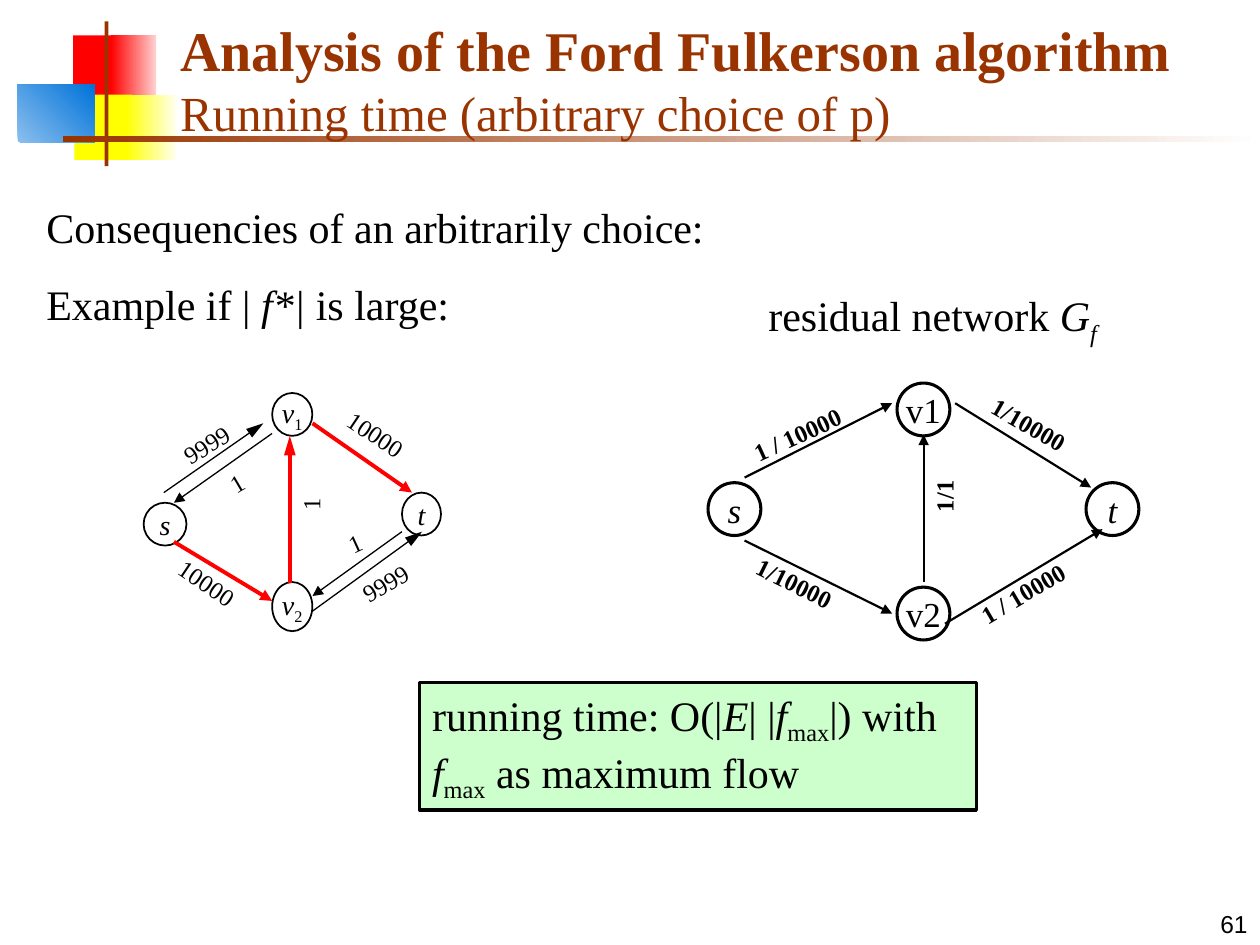
from lxml.etree import SubElement
from pptx import Presentation
from pptx.dml.color import RGBColor
from pptx.enum.shapes import MSO_CONNECTOR, MSO_SHAPE
from pptx.enum.text import MSO_ANCHOR, PP_ALIGN
from pptx.oxml.ns import qn
from pptx.util import Pt

COLORS = {
    "black": "000000", "white": "FFFFFF", "red": "FF0000", "pink": "FFD1D1",
    "yellow": "FFFF00", "cream": "FFFFF0", "sky": "8BBFEE", "blue": "0073D9",
    "brown": "993300", "mint": "CCFFCC",
}
SERIF = "Times New Roman"

DECORATION = [
    ((41.8, 20.2, 25.2, 37.4), ["red"], 0),
    ((63.4, 20.2, 25.9, 37.4), ["red", "pink"], 0),
    ((42.5, 54, 33.1, 37.4), ["yellow"], 0),
    ((72, 54, 28.8, 37.4), ["yellow", "cream"], 0),
    ((10.1, 48.2, 43.9, 33.1), ["sky", "blue"], 45),
    ((59.8, 12.2, 2.2, 82.8), ["brown"], 0),
    ((36, 77.8, 684, 3.6), ["brown", "white"], 0),
]

TITLE = "Analysis of the Ford Fulkerson algorithm"
SUBTITLE = "Running time (arbitrary choice of p)"
PAGE_NUMBER = "61"
INTRO = [
    [("Consequencies of an arbitrarily choice:", "")],
    [("Example if | ", ""), ("f*|", "i"), (" is large:", "")],
]
RESIDUAL_HEADING = [[("residual network ", ""), ("G", "i"), ("f", "i sub")]]
RUNNING_TIME = [[
    ("running time: O(|", ""), ("E", "i"), ("| |", ""), ("f", "i"), ("max", "sub"),
    ("|) with ", ""), ("f", "i"), ("max", "sub"), (" as maximum flow", ""),
]]

FLOW_GRAPH = {
    "node_size": 16, "node_line": 1, "bold": False,
    "nodes": [
        ((229.7, 281.5, 22.3, 24.5), [("t", "i")]),
        ((155.5, 332.6, 23, 28.1), [("v", "i"), ("2", "sub")]),
        ((155.5, 224.6, 23, 24.5), [("v", "i"), ("1", "sub")]),
        ((82.1, 287.3, 24.5, 24.5), [("s", "i")]),
    ],
    "edges": [
        ((178.6, 241.9, 235.4, 281.5), "red", 2.25, "med"),
        ((99.4, 309.6, 155.5, 343.4), "red", 2.25, "med"),
        ((93.6, 281.5, 150.5, 241.9), "black", 0.75, "lg"),
        ((178.6, 349.2, 241.2, 303.8), "black", 0.75, "lg"),
        ((165.6, 333.4, 165.6, 249.1), "red", 2.25, "lg"),
        ((229.7, 303.8, 178.6, 340.6), "black", 0.75, "med"),
        ((155.5, 247.7, 99.4, 287.3), "black", 0.75, "med"),
    ],
    "labels": [
        ("9999", 82.1, 241.9, 72, 328),
        ("10000", 178.6, 236.2, 72, 34),
        ("9999", 184.3, 321.1, 72, 329.5),
        ("1", 162.7, 275.8, 30.2, 270),
        ("1", 99.4, 264.2, 72, 329.5),
        ("1", 167, 298.1, 72, 335.4),
        ("10000", 82.1, 321.1, 72, 34),
    ],
}

RESIDUAL_GRAPH = {
    "node_size": 20, "node_line": 1.75, "bold": True,
    "nodes": [
        ((620.6, 275.8, 30.2, 30.2), [("t", "i")]),
        ((512.6, 335.5, 30.2, 30.2), [("v2", "")]),
        ((512.6, 218.9, 30.2, 30.2), [("v1", "")]),
        ((404.6, 275.8, 30.2, 30.2), [("s", "i")]),
    ],
    "edges": [
        ((545.8, 230.4, 623.5, 278.6), "black", 1.25, "med"),
        ((425.5, 308.9, 509.8, 350.6), "black", 1.25, "med"),
        ((425.5, 272.9, 509.8, 230.4), "black", 1.25, "med"),
        ((540, 356.4, 630, 302.4), "black", 1.25, "med"),
        ((527.8, 332.6, 527.8, 248.4), "black", 1.25, "med"),
    ],
    "labels": [
        ("1/10000", 545.8, 230.4, 84.2, 29.9),
        ("1/10000", 411.1, 321.1, 85.7, 26.2),
        ("1/1", 520.6, 271.4, 38.2, 270),
        ("1 / 10000", 411.1, 236.2, 89.3, 335.4),
        ("1 / 10000", 535.7, 326.9, 97.9, 329.5),
    ],
}
LABEL_HEIGHT = 24.5


def rgb(name):
    return RGBColor.from_string(COLORS[name])


def write(shape, paragraphs, size, color="black", font=SERIF, bold=False,
          align=PP_ALIGN.LEFT, anchor=MSO_ANCHOR.TOP, wrap=True):
    frame = shape.text_frame
    frame.word_wrap = wrap
    frame.vertical_anchor = anchor
    for index, runs in enumerate(paragraphs):
        paragraph = frame.add_paragraph() if index else frame.paragraphs[0]
        paragraph.alignment = align
        if index:
            paragraph.space_before = Pt(15)
        paragraph.font.name = font
        paragraph.font.size = Pt(size)
        paragraph.font.bold = bold
        paragraph.font.color.rgb = rgb(color)
        for text, style in runs:
            run = paragraph.add_run()
            run.text = text
            if "i" in style.split():
                run.font.italic = True
            if "sub" in style.split():
                run.font._element.set("baseline", "-25000")


def add_text(slide, box, paragraphs, size, **options):
    textbox = slide.shapes.add_textbox(*map(Pt, box))
    write(textbox, paragraphs, size, **options)
    return textbox


def add_block(slide, preset, box, fills, angle=0, line_width=None):
    block = slide.shapes.add_shape(preset, *map(Pt, box))
    block.shadow.inherit = False
    if len(fills) == 1:
        block.fill.solid()
        block.fill.fore_color.rgb = rgb(fills[0])
    else:
        block.fill.gradient()
        block.fill.gradient_angle = angle
        for stop, name in zip(block.fill.gradient_stops, fills):
            stop.color.rgb = rgb(name)
    if line_width:
        block.line.color.rgb = rgb("black")
        block.line.width = Pt(line_width)
    else:
        block.line.fill.background()
    return block


def add_edge(slide, ends, color, width, head_length):
    edge = slide.shapes.add_connector(MSO_CONNECTOR.STRAIGHT, *map(Pt, ends))
    edge.line.color.rgb = rgb(color)
    edge.line.width = Pt(width)
    SubElement(edge.line._get_or_add_ln(), qn("a:tailEnd"),
               type="triangle", w="med", len=head_length)
    SubElement(edge._element.spPr, qn("a:effectLst"))


def add_graph(slide, graph):
    for box, name in graph["nodes"]:
        node = add_block(slide, MSO_SHAPE.OVAL, box, ["white"], line_width=graph["node_line"])
        write(node, [name], graph["node_size"], align=PP_ALIGN.CENTER,
              anchor=MSO_ANCHOR.MIDDLE, wrap=False)
    for edge in graph["edges"]:
        add_edge(slide, *edge)
    for text, left, top, width, angle in graph["labels"]:
        label = add_text(slide, (left, top, width, LABEL_HEIGHT), [[(text, "")]], 14,
                         bold=graph["bold"], align=PP_ALIGN.CENTER)
        label.rotation = angle


def main():
    presentation = Presentation()
    presentation.slide_width, presentation.slide_height = Pt(720), Pt(540)
    slide = presentation.slides.add_slide(presentation.slide_layouts[6])

    for box, fills, angle in DECORATION:
        add_block(slide, MSO_SHAPE.RECTANGLE, box, fills, angle)
    add_text(slide, (570.2, 504, 149.8, 36), [[(PAGE_NUMBER, "")]], 14, font="Arial",
             align=PP_ALIGN.RIGHT, anchor=MSO_ANCHOR.BOTTOM)

    title = add_text(slide, (95.8, 18, 613.4, 66.2), [[(TITLE + "\v", ""), (SUBTITLE, "")]], 28,
                     color="brown", anchor=MSO_ANCHOR.BOTTOM)
    heading = title.text_frame.paragraphs[0].runs[0]
    heading.font.size = Pt(32)
    heading.font.bold = True
    heading.text = TITLE
    line_break = SubElement(title.text_frame.paragraphs[0]._p, qn("a:br"))
    heading._r.addnext(line_break)

    add_text(slide, (19.4, 111.6, 402.5, 79.9), INTRO, 24)
    add_graph(slide, FLOW_GRAPH)
    add_graph(slide, RESIDUAL_GRAPH)
    add_text(slide, (432, 162, 205.9, 40.3), RESIDUAL_HEADING, 24)
    result = add_block(slide, MSO_SHAPE.RECTANGLE, (239.8, 390.2, 318.2, 72.7), ["mint"],
                       line_width=1.75)
    write(result, RUNNING_TIME, 24)

    presentation.save("out.pptx")


if __name__ == "__main__":
    main()
